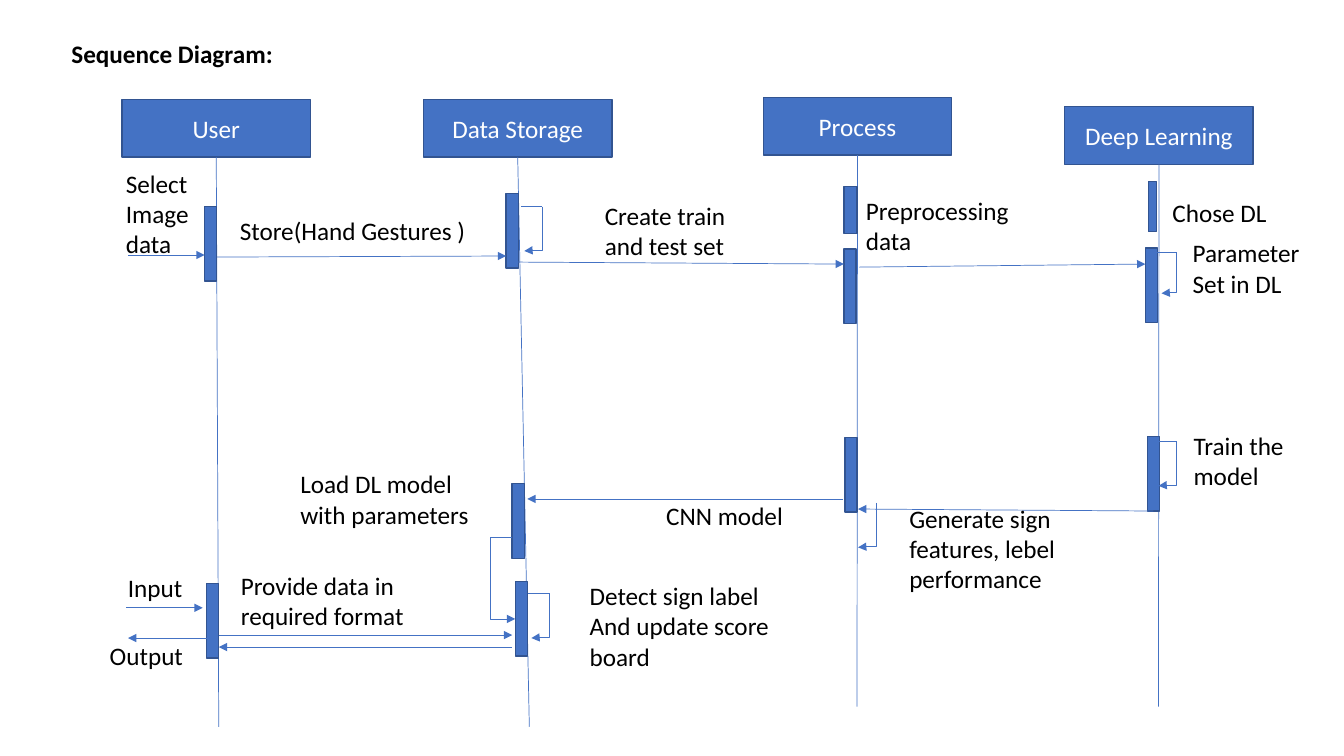
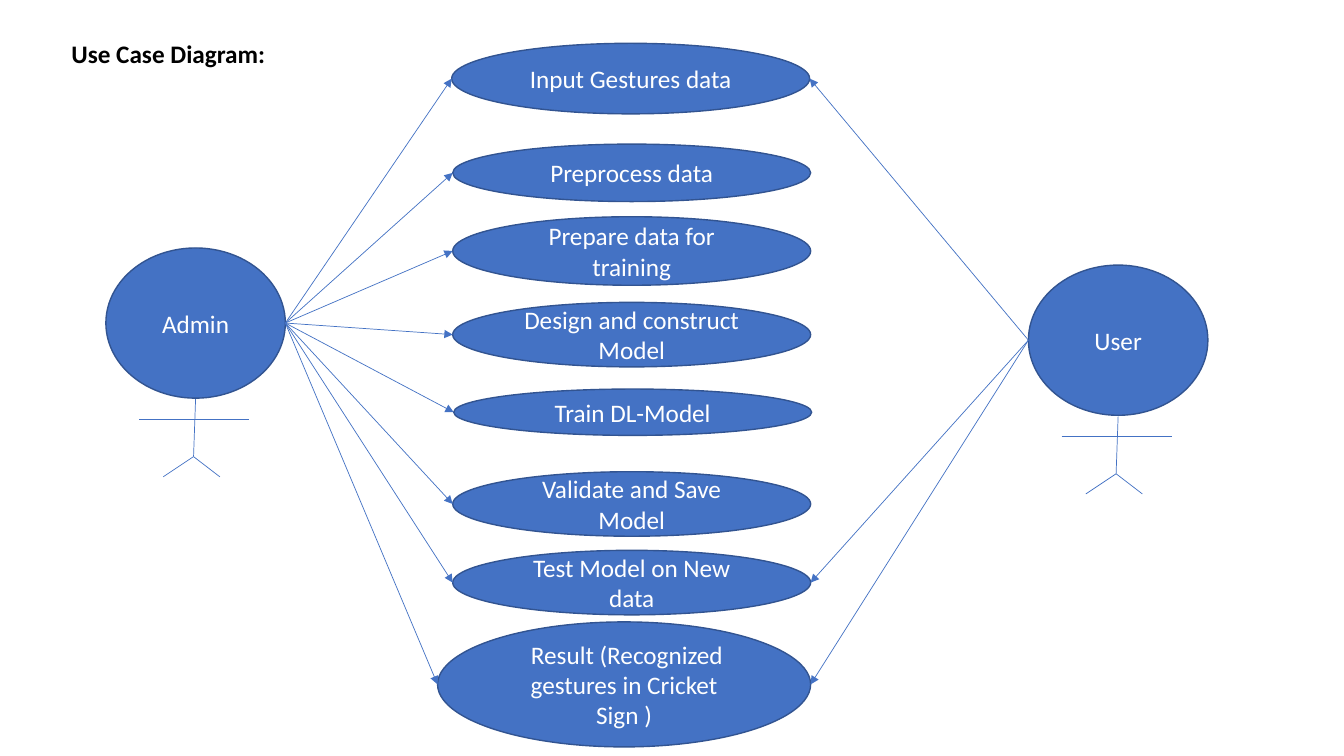
from lxml.etree import SubElement
from pptx import Presentation
from pptx.dml.color import RGBColor
from pptx.enum.shapes import MSO_CONNECTOR as Link, MSO_SHAPE as Shape
from pptx.enum.text import MSO_ANCHOR as Anchor, PP_ALIGN as Align
from pptx.oxml.ns import qn
from pptx.util import Pt

PX = 9144
TOP, LEFT, BOTTOM, RIGHT = range(4)
COLORS = {"fill": "4472C4", "edge": "325491", "light": "FFFFFF", "text": "000000"}


def color(name):
    return RGBColor.from_string(COLORS[name])


class Diagram:
    font = "Calibri"
    size = Pt(18)
    edge_width = Pt(1)
    link_width = Pt(0.5)

    def __init__(self):
        self.deck = Presentation()
        self.deck.slide_width = 1333 * PX
        self.deck.slide_height = 750 * PX
        self.shapes = None

    def page(self, heading):
        self.shapes = self.deck.slides.add_slide(self.deck.slide_layouts[6]).shapes
        self.label(61, 33, 230, 40, heading, bold=True)

    def fill_text(self, frame, text, tint, align=Align.LEFT, bold=False):
        frame.word_wrap = True
        for index, line in enumerate(text.split("\n")):
            paragraph = frame.add_paragraph() if index else frame.paragraphs[0]
            paragraph.alignment = align
            run = paragraph.add_run()
            run.text = line
            run.font.name = self.font
            run.font.size = self.size
            run.font.bold = bold
            run.font.color.rgb = color(tint)

    def label(self, left, top, width, height, text, bold=False):
        box = self.shapes.add_textbox(left * PX, top * PX, width * PX, height * PX)
        self.fill_text(box.text_frame, text, "text", bold=bold)

    def block(self, kind, left, top, width, height, text=""):
        block = self.shapes.add_shape(kind, left * PX, top * PX, width * PX, height * PX)
        block.shadow.inherit = False
        block.fill.solid()
        block.fill.fore_color.rgb = color("fill")
        block.line.color.rgb = color("edge")
        block.line.width = self.edge_width
        if text:
            block.text_frame.vertical_anchor = Anchor.MIDDLE
            self.fill_text(block.text_frame, text, "light", Align.CENTER)
        return block

    def style_link(self, link, arrow):
        link.line.color.rgb = color("fill")
        link.line.width = self.link_width
        if arrow:
            SubElement(link.get_or_add_ln(), qn("a:tailEnd"), type="triangle")
        SubElement(link._element.spPr, qn("a:effectLst"))
        return link

    def line(self, x1, y1, x2, y2, arrow=False):
        link = self.shapes.add_connector(Link.STRAIGHT, x1 * PX, y1 * PX, x2 * PX, y2 * PX)
        return self.style_link(link, arrow)

    def arrow(self, x1, y1, x2, y2):
        return self.line(x1, y1, x2, y2, arrow=True)

    def turn(self, x1, y1, x2, y2):
        leftward = x2 < x1
        center_x, center_y = (x1 + x2) * PX // 2, (y1 + y2) * PX // 2
        half_run = (y2 - y1) * PX // 2 * (1 if leftward else -1)
        half_rise = abs(x2 - x1) * PX // 2
        link = self.shapes.add_connector(
            Link.ELBOW, center_x - half_run, center_y - half_rise,
            center_x + half_run, center_y + half_rise)
        link._element.spPr.find(qn("a:xfrm")).set("rot", str((90 if leftward else 270) * 60000))
        outline = link._element.spPr.find(qn("a:prstGeom"))
        if leftward:
            SubElement(outline.find(qn("a:avLst")), qn("a:gd"), name="adj1", fmla="val 98700")
        else:
            outline.set("prst", "bentConnector2")
        self.style_link(link, arrow=True)

    def loop(self, start, top, corner, end, bottom):
        self.line(start, top, corner, top)
        self.turn(corner, top, end, bottom)

    def lifeline(self, text, left, top, end_x, end_y):
        header = self.block(Shape.RECTANGLE, left, top, 187, 57, text)
        self.line(left, top, end_x, end_y).begin_connect(header, BOTTOM)

    def join_ovals(self, source, source_side, target, target_side):
        link = self.arrow(0, 0, 1, 1)
        link.begin_connect(source, source_side)
        link.end_connect(target, target_side)
        for tag, side in (("a:stCxn", source_side), ("a:endCxn", target_side)):
            next(link._element.iter(qn(tag))).set("idx", str(side * 2))

    def actor(self, left, top, text):
        head = self.block(Shape.OVAL, left, top, 178, 149, text)
        hip_x, hip_y = left + 87, top + 207
        self.line(left + 89, top + 150, hip_x, hip_y)
        self.line(left + 33, top + 170, left + 142, top + 170)
        for foot in (-30, 26):
            self.line(hip_x, hip_y, hip_x + foot, hip_y + 20)
        return head


def sequence_page(diagram):
    diagram.page("Sequence Diagram:")
    for lifeline in (
        ("User", 121, 99, 217, 721),
        ("Data Storage", 420, 99, 525, 721),
        ("Process", 757, 97, 850, 701),
        ("Deep Learning", 1056, 106, 1149, 701),
    ):
        diagram.lifeline(*lifeline)

    for left, top in ((203, 205), (502, 192), (837, 247), (1138, 433), (1136, 246),
                      (838, 434), (205, 579), (508, 480), (511, 577)):
        diagram.block(Shape.RECTANGLE, left, top, 12, 74)
    diagram.block(Shape.RECTANGLE, 1139, 180, 8, 50)
    diagram.block(Shape.RECTANGLE, 837, 185, 13, 47)

    for message in (
        (127, 253, 203, 253),
        (215, 255, 502, 254),
        (514, 260, 837, 262),
        (852, 265, 1136, 262),
        (1144, 507, 851, 505),
        (836, 495, 523, 495),
        (125, 603, 201, 603),
        (209, 633, 127, 633),
        (217, 630, 508, 630),
        (508, 642, 217, 642),
    ):
        diagram.arrow(*message)

    for loop in (
        (517, 205, 538, 520, 249),
        (524, 589, 545, 527, 633),
        (1146, 438, 1167, 1149, 482),
        (1147, 250, 1167, 1152, 291),
        (508, 533, 486, 511, 614),
    ):
        diagram.loop(*loop)
    diagram.turn(869, 499, 851, 543)

    for label in (
        (115, 162, 88, 101, "Select Image data"),
        (228, 209, 254, 40, "Store(Hand Gestures )"),
        (590, 194, 157, 71, "Create train and test set"),
        (849, 189, 182, 71, "Preprocessing data"),
        (1153, 191, 122, 40, "Chose DL"),
        (1173, 231, 139, 71, "Parameter Set in DL"),
        (1174, 422, 159, 71, "Train the model"),
        (892, 494, 200, 101, "Generate sign features, lebel performance"),
        (651, 491, 200, 40, "CNN model"),
        (288, 460, 200, 71, "Load DL model with parameters"),
        (575, 571, 200, 101, "Detect sign label\nAnd update score board"),
        (229, 561, 241, 71, "Provide data in required format"),
        (117, 563, 88, 40, "Input"),
        (99, 630, 107, 40, "Output"),
    ):
        diagram.label(*label)


def use_case_page(diagram):
    diagram.page("Use Case Diagram:")
    admin = diagram.actor(105, 246, "Admin")
    user = diagram.actor(1020, 263, "User")
    cases = [diagram.block(Shape.OVAL, *case) for case in (
        (448, 43, 355, 70, "Input Gestures data"),
        (449, 143, 355, 57, "Preprocess data"),
        (449, 215, 355, 68, "Prepare data for training"),
        (449, 300, 355, 64, "Design and construct Model"),
        (450, 386, 355, 46, "Train DL-Model"),
        (449, 468, 355, 64, "Validate and Save Model"),
        (449, 546, 355, 64, "Test Model on New data"),
        (434, 617, 370, 124, " Result (Recognized gestures in Cricket Sign )"),
    )]
    for case in cases:
        diagram.join_ovals(admin, RIGHT, case, LEFT)
    for case in (cases[0], *cases[-2:]):
        diagram.join_ovals(user, LEFT, case, RIGHT)


def main():
    diagram = Diagram()
    sequence_page(diagram)
    use_case_page(diagram)
    diagram.deck.save("out.pptx")


if __name__ == "__main__":
    main()
